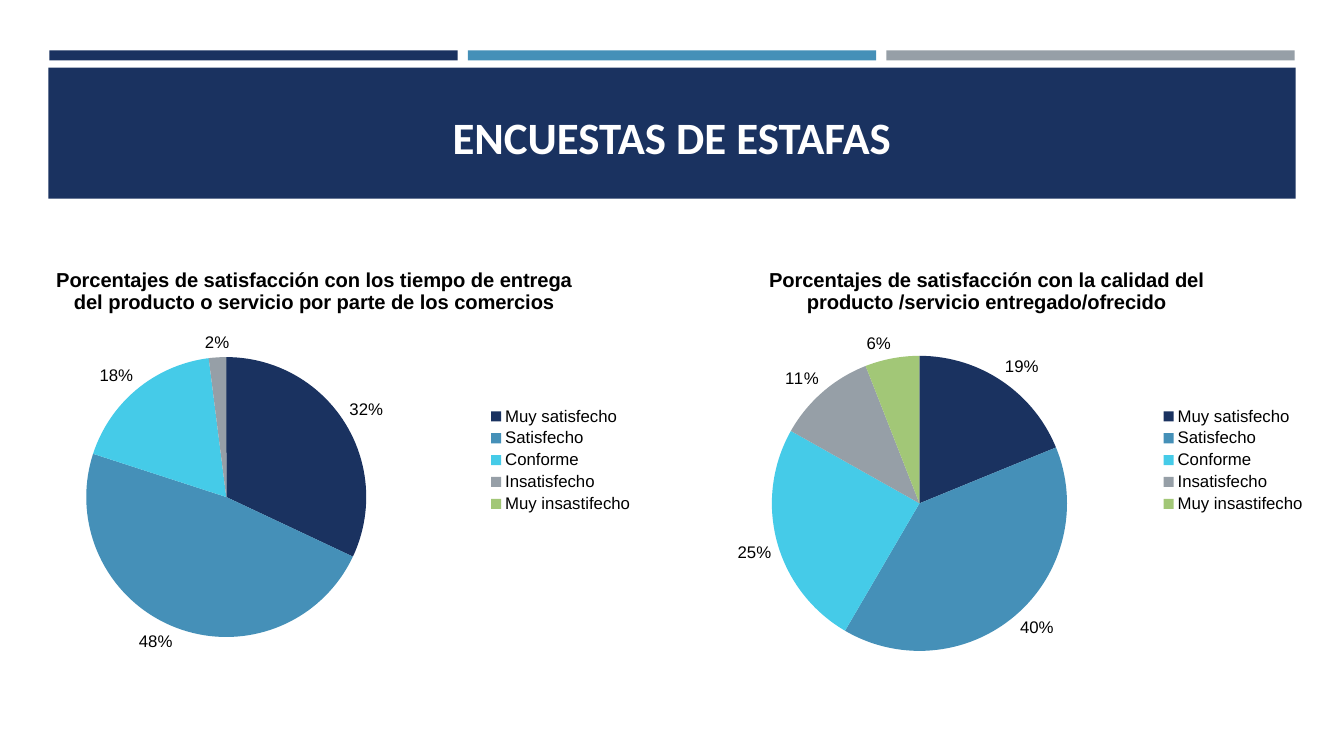
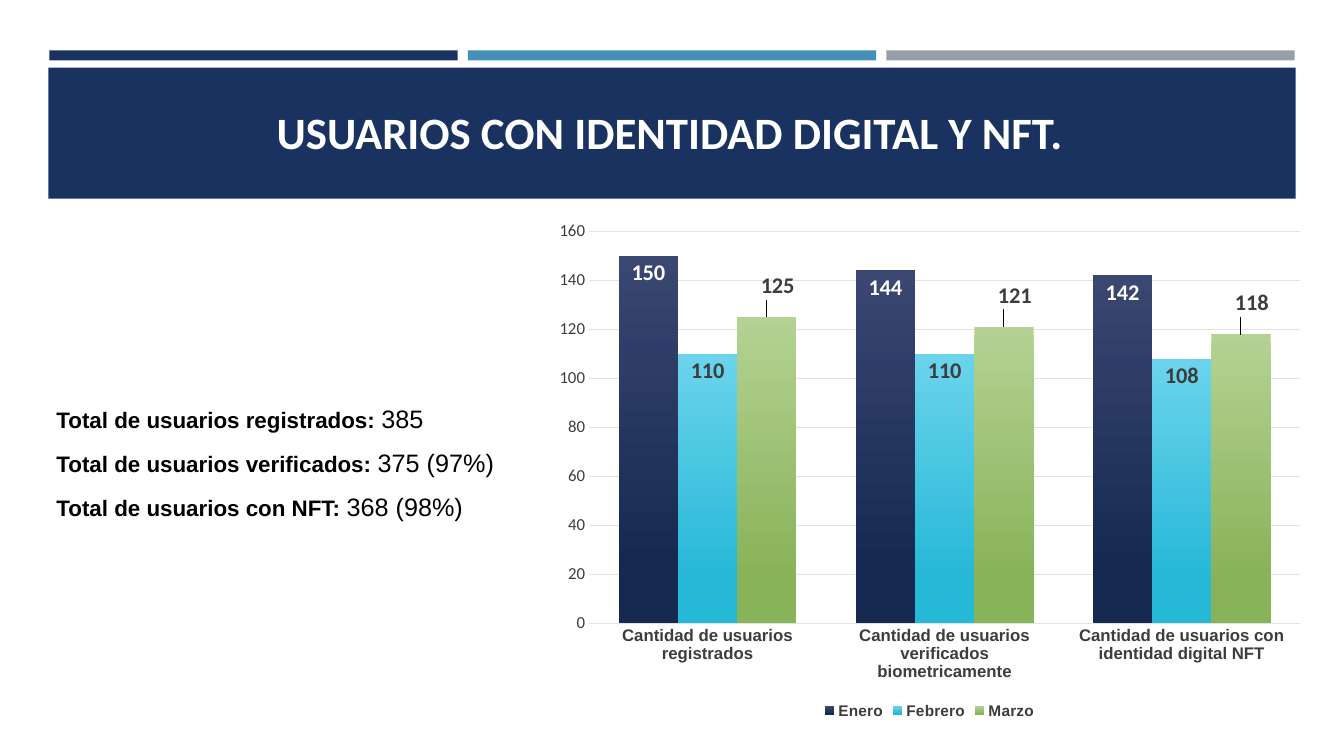
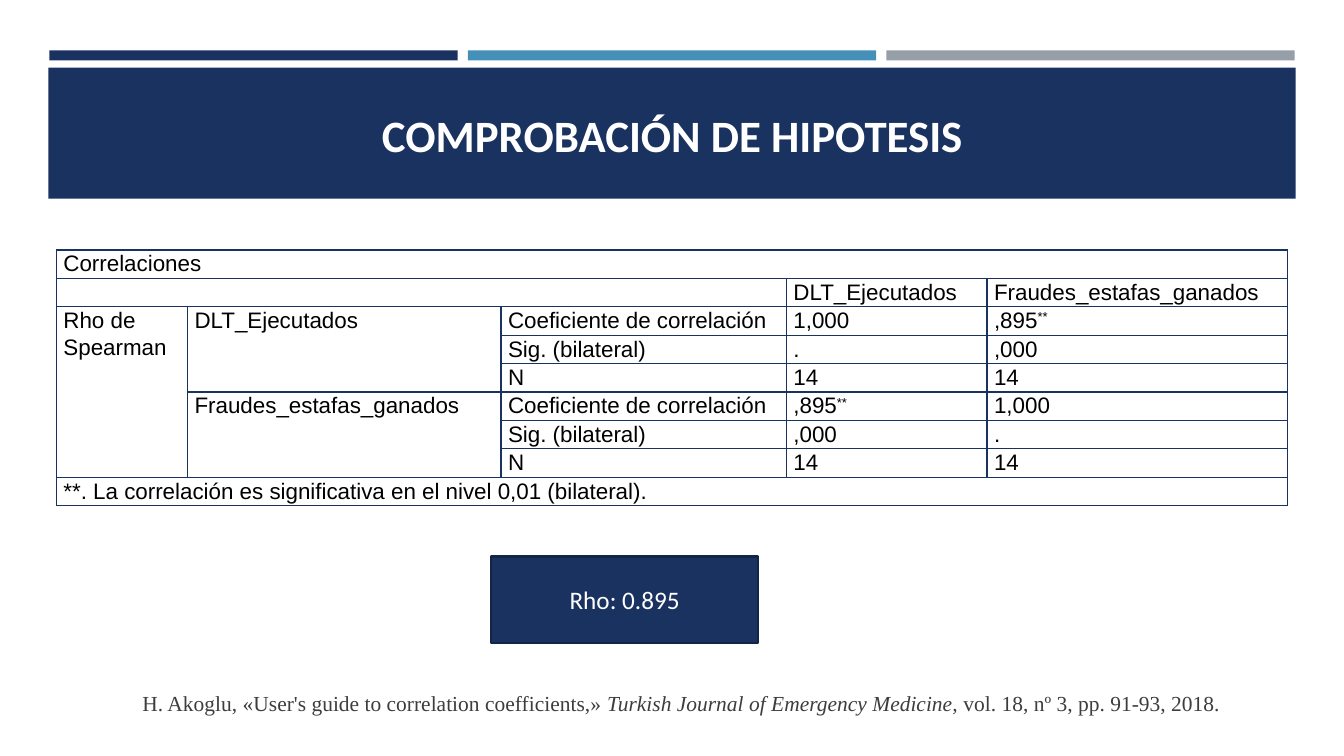
from dataclasses import dataclass

from lxml import etree
from pptx import Presentation
from pptx.chart.chart import Chart
from pptx.chart.data import CategoryChartData
from pptx.dml.color import RGBColor
from pptx.enum.chart import XL_CHART_TYPE as ChartType
from pptx.enum.chart import XL_LABEL_POSITION as LabelPos
from pptx.enum.chart import XL_LEGEND_POSITION as LegendPos
from pptx.enum.chart import XL_TICK_MARK as TickMark
from pptx.enum.shapes import MSO_SHAPE as Preset
from pptx.enum.text import MSO_ANCHOR as Anchor
from pptx.enum.text import MSO_AUTO_SIZE as AutoSize
from pptx.enum.text import PP_ALIGN as Align
from pptx.oxml.ns import qn
from pptx.presentation import Presentation as Deck
from pptx.shapes.base import BaseShape
from pptx.slide import Slide
from pptx.table import _Cell as Cell
from pptx.text.text import Font
from pptx.util import Inches, Pt

COLORS = {
    "navy": "1A3260",
    "navy_edge": "132547",
    "blue": "4590B8",
    "cyan": "45CBE8",
    "gray": "969FA7",
    "green": "A2C777",
    "grid": "E2E2E2",
    "dark": "3D3D3D",
    "black": "000000",
    "white": "FFFFFF",
    "navy_top": "394771",
    "navy_low": "162A51",
    "cyan_top": "6BD4EC",
    "cyan_low": "26B8D7",
    "green_top": "B4D293",
    "green_low": "89B359",
}
TITLE_ONLY, TITLE_AND_BODY = 5, 1


@dataclass(frozen=True)
class Box:
    left: float
    top: float
    width: float
    height: float

    def lengths(self) -> tuple[int, int, int, int]:
        return (Inches(self.left), Inches(self.top),
                Inches(self.width), Inches(self.height))


@dataclass(frozen=True)
class Band:
    box: Box
    color: str


@dataclass(frozen=True)
class Survey:
    question: str
    shares: tuple[float, ...]
    box: Box
    plot: Box  # fractions of the chart area


@dataclass(frozen=True)
class Month:
    name: str
    users: tuple[int, ...]
    top: str
    low: str
    label_color: str
    label_pos: LabelPos


BANDS = [
    Band(Box(0.49 + 4.15 * i, 0.5, 4.05, 0.1), color)
    for i, color in enumerate(("navy", "blue", "gray"))
] + [Band(Box(0.48, 0.67, 12.37, 1.3), "navy")]

ANSWERS = ("Muy satisfecho", "Satisfecho", "Conforme", "Insatisfecho", "Muy insastifecho")
ANSWER_COLORS = ("navy", "blue", "cyan", "gray", "green")
SURVEYS = (
    Survey("Porcentajes de satisfacción con los tiempo de entrega del producto "
           "o servicio por parte de los comercios",
           (0.32, 0.48, 0.18, 0.02, 0),
           Box(-0.16, 2.48, 6.55, 4.17), Box(0.155, 0.255, 0.424, 0.666)),
    Survey("Porcentajes de satisfacción con la calidad del producto "
           "/servicio entregado/ofrecido",
           (0.19, 0.4, 0.25, 0.11, 0.06),
           Box(6.51, 2.48, 6.55, 4.17), Box(0.175, 0.252, 0.447, 0.702)),
)

TOTALS = (
    ("Total de usuarios registrados: ", "385"),
    ("Total de usuarios verificados: ", "375 (97%)"),
    ("Total de usuarios con NFT: ", "368 (98%)"),
)
STAGES = (
    "Cantidad de usuarios registrados",
    "Cantidad de usuarios verificados biometricamente",
    "Cantidad de usuarios con identidad digital NFT",
)
MONTHS = (
    Month("Enero", (150, 144, 142), "navy_top", "navy_low", "white", LabelPos.INSIDE_END),
    Month("Febrero", (110, 110, 108), "cyan_top", "cyan_low", "dark", LabelPos.INSIDE_END),
    Month("Marzo", (125, 121, 118), "green_top", "green_low", "dark", LabelPos.OUTSIDE_END),
)

CORRELATIONS = (
    ("Correlaciones", "", "", "", ""),
    ("", "", "", "DLT_Ejecutados", "Fraudes_estafas_ganados"),
    ("Rho de Spearman", "DLT_Ejecutados", "Coeficiente de correlación", "1,000", ",895**"),
    ("", "", "Sig. (bilateral)", ".", ",000"),
    ("", "", "N", "14", "14"),
    ("", "Fraudes_estafas_ganados", "Coeficiente de correlación", ",895**", "1,000"),
    ("", "", "Sig. (bilateral)", ",000", "."),
    ("", "", "N", "14", "14"),
    ("**. La correlación es significativa en el nivel 0,01 (bilateral).", "", "", "", ""),
)
COLUMN_WIDTHS = (1.3, 3.11, 2.83, 1.99, 2.98)
# Merged areas: first row, first column, last row, last column
MERGES = ((0, 0, 0, 4), (1, 0, 1, 2), (2, 0, 7, 0), (2, 1, 4, 1), (5, 1, 7, 1), (8, 0, 8, 4))


# Shared helpers
def rgb(color: str) -> RGBColor:
    return RGBColor.from_string(COLORS[color])


def style_font(font: Font, name: str, color: str, size: float | None = None,
               bold: bool | None = None) -> None:
    font.name = name
    font.color.rgb = rgb(color)
    font.bold = bold
    if size:
        font.size = Pt(size)


def place(shape: BaseShape, box: Box) -> None:
    shape.left, shape.top, shape.width, shape.height = box.lengths()


def add_block(slide: Slide, box: Box, color: str) -> BaseShape:
    block = slide.shapes.add_shape(Preset.RECTANGLE, *box.lengths())
    block.shadow.inherit = False
    block.fill.solid()
    block.fill.fore_color.rgb = rgb(color)
    block.line.fill.background()
    return block


def add_titled_slide(deck: Deck, layout: int, heading: str, box: Box) -> Slide:
    slide = deck.slides.add_slide(deck.slide_layouts[layout])
    for band in BANDS:
        add_block(slide, band.box, band.color)
    title = slide.shapes.title
    slide.shapes._spTree.append(title._element)  # in front of the bands
    place(title, box)
    frame = title.text_frame
    frame.text = heading
    frame.auto_size = AutoSize.NONE
    frame.vertical_anchor = Anchor.BOTTOM
    paragraph = frame.paragraphs[0]
    paragraph.alignment = Align.CENTER
    style_font(paragraph.font, "Calibri", "white", 32, True)
    return slide


def add_layout(parent: etree._Element, index: int, **values: float | str) -> None:
    layout = etree.Element(qn("c:layout"))
    manual = etree.SubElement(layout, qn("c:manualLayout"))
    for tag, value in values.items():
        etree.SubElement(manual, qn(f"c:{tag}")).set("val", str(value))
    parent.insert(index, layout)


def place_plot(chart: Chart, plot: Box) -> None:
    area = chart._chartSpace.find(f".//{qn('c:plotArea')}")
    for old in area.findall(qn("c:layout")):
        area.remove(old)
    add_layout(area, 0, layoutTarget="inner", xMode="edge", yMode="edge",
               x=plot.left, y=plot.top, w=plot.width, h=plot.height)


def add_legend(chart: Chart, position: LegendPos, color: str, size: float, bold: bool) -> None:
    chart.has_legend = True
    chart.legend.position = position
    chart.legend.include_in_layout = False
    style_font(chart.legend.font, "Arial", color, size, bold)


# Slide 1: satisfaction pies
def add_survey_pie(slide: Slide, survey: Survey) -> None:
    data = CategoryChartData(number_format="0%")
    data.categories = ANSWERS
    data.add_series("Series 1", survey.shares)
    chart = slide.shapes.add_chart(ChartType.PIE, *survey.box.lengths(), data).chart
    style_font(chart.font, "Arial", "black", 12)
    chart.has_title = True
    question = chart.chart_title.text_frame
    question.text = survey.question
    style_font(question.paragraphs[0].font, "Arial", "black", 14.4, True)
    add_legend(chart, LegendPos.RIGHT, "black", 12, False)
    place_plot(chart, survey.plot)
    chart.plots[0].vary_by_categories = True

    answers = chart.plots[0].series[0]
    labels = answers.data_labels
    labels.show_value = True
    labels.number_format = "0%"
    labels.number_format_is_linked = False
    labels.position = LabelPos.OUTSIDE_END
    style_font(labels.font, "Arial", "black", 12)
    for i, (share, color) in enumerate(zip(survey.shares, ANSWER_COLORS)):
        slice_fill = answers.points[i].format.fill
        slice_fill.solid()
        slice_fill.fore_color.rgb = rgb(color)
        if not share:  # an empty slice has no label
            hidden = etree.Element(qn("c:dLbl"))
            etree.SubElement(hidden, qn("c:idx")).set("val", str(i))
            etree.SubElement(hidden, qn("c:delete")).set("val", "1")
            labels._element.insert(0, hidden)


def build_surveys(deck: Deck) -> None:
    slide = add_titled_slide(deck, TITLE_ONLY, "ENCUESTAS DE ESTAFAS",
                             Box(0.48, 0.85, 12.37, 0.82))
    for survey in SURVEYS:
        add_survey_pie(slide, survey)


# Slide 2: users by month
def fill_totals(body: BaseShape) -> None:
    place(body, Box(0.46, 3.95, 4.61, 1.4))
    frame = body.text_frame
    frame.auto_size = AutoSize.NONE
    frame.vertical_anchor = Anchor.TOP
    for i, (label, total) in enumerate(TOTALS):
        paragraph = frame.add_paragraph() if i else frame.paragraphs[0]
        properties = paragraph._p.get_or_add_pPr()
        properties.set("marL", "0")
        properties.set("indent", "0")
        etree.SubElement(properties, qn("a:buNone"))
        paragraph.space_before = Pt(0)
        paragraph.space_after = Pt(10)
        style_font(paragraph.font, "Arial", "black")
        for text, size, bold in ((label, 16, True), (total, 18, False)):
            run = paragraph.add_run()
            run.text = text
            run.font.size = Pt(size)
            run.font.bold = bold


def add_users_chart(slide: Slide) -> None:
    data = CategoryChartData(number_format="General")
    data.categories = STAGES
    for month in MONTHS:
        data.add_series(month.name, month.users)
    chart = slide.shapes.add_chart(ChartType.COLUMN_CLUSTERED,
                                   *Box(5.39, 2.09, 7.66, 5.09).lengths(), data).chart
    style_font(chart.font, "Calibri", "black", 10)
    chart.has_title = False
    add_legend(chart, LegendPos.BOTTOM, "dark", 11, True)
    place_plot(chart, Box(0.059, 0.04, 0.921, 0.764))

    stages, users = chart.category_axis, chart.value_axis
    for axis in (stages, users):
        axis.major_tick_mark = axis.minor_tick_mark = TickMark.NONE
    style_font(stages.tick_labels.font, "Arial", "dark", 12, True)
    style_font(users.tick_labels.font, "Calibri", "dark", 12, False)
    users.minimum_scale, users.maximum_scale, users.major_unit = 0, 160, 20
    users.format.line.fill.background()
    for line in (stages.format.line, users.major_gridlines.format.line):
        line.color.rgb = rgb("grid")
        line.width = Pt(0.75)

    plot = chart.plots[0]
    plot.vary_by_categories = False
    plot.gap_width = 100
    plot.overlap = 0
    for month, columns in zip(MONTHS, plot.series):
        fill = columns.format.fill
        fill.gradient()
        fill.gradient_angle = 270
        for stop, position, color in zip(fill.gradient_stops, (0, 0.84), (month.top, month.low)):
            stop.position = position
            stop.color.rgb = rgb(color)
        labels = columns.data_labels
        labels.show_value = True
        labels.position = month.label_pos
        style_font(labels.font, "Calibri", month.label_color, 16, True)
        if month.label_pos == LabelPos.OUTSIDE_END:
            for i in range(len(STAGES)):  # lifted a little, to the right
                label = columns.points[i].data_label
                label.position = month.label_pos
                style_font(label.font, "Calibri", month.label_color, 16, True)
                add_layout(label._get_or_add_dLbl(), 1, x=0.014, y=-0.025)


def build_users(deck: Deck) -> None:
    slide = add_titled_slide(deck, TITLE_AND_BODY, "USUARIOS CON IDENTIDAD DIGITAL Y NFT.",
                             Box(0.46, 0.74, 12.37, 0.88))
    fill_totals(slide.placeholders[1])
    add_users_chart(slide)


# Slide 3: correlation table
def add_borders(cell: Cell) -> None:
    properties = cell._tc.get_or_add_tcPr()
    for i, side in enumerate(("lnL", "lnR", "lnT", "lnB")):
        line = etree.Element(qn(f"a:{side}"), w=str(Pt(1)))
        solid = etree.SubElement(line, qn("a:solidFill"))
        etree.SubElement(solid, qn("a:srgbClr")).set("val", COLORS["navy"])
        properties.insert(i, line)


def fill_cell(cell: Cell, text: str) -> None:
    cell.margin_left = cell.margin_right = Inches(0.07)
    cell.margin_top = cell.margin_bottom = 0
    cell.fill.background()
    add_borders(cell)
    paragraph = cell.text_frame.paragraphs[0]
    paragraph.line_spacing = 1.07
    style_font(paragraph.font, "Arial", "black", 16)
    value = text.removesuffix("**")
    if value:
        paragraph.add_run().text = value
    if value != text:
        mark = paragraph.add_run()
        mark.text = "**"
        mark._r.get_or_add_rPr().set("baseline", "30000")


def add_correlations(slide: Slide) -> None:
    table = slide.shapes.add_table(len(CORRELATIONS), len(COLUMN_WIDTHS),
                                   *Box(0.56, 2.48, 12.21, 2.54).lengths()).table
    table.first_row = table.horz_banding = False
    for column, width in zip(table.columns, COLUMN_WIDTHS):
        column.width = Inches(width)
    for r, row in enumerate(CORRELATIONS):
        for c, text in enumerate(row):
            fill_cell(table.cell(r, c), text)
    for top, left, bottom, right in MERGES:
        table.cell(top, left).merge(table.cell(bottom, right))


def add_citation(slide: Slide) -> None:
    frame = slide.shapes.add_textbox(*Box(0.49, 6.73, 12.24, 0.41).lengths()).text_frame
    frame.word_wrap = True
    frame.vertical_anchor = Anchor.MIDDLE
    frame.margin_left = Inches(0.39)
    paragraph = frame.paragraphs[0]
    paragraph.alignment = Align.CENTER
    paragraph.line_spacing = 1.3
    style_font(paragraph.font, "Times New Roman", "dark", 15.3)
    for text, italic in (
        ("H. Akoglu, «User's guide to correlation coefficients,» ", False),
        ("Turkish Journal of Emergency Medicine, ", True),
        ("vol. 18, nº 3, pp. 91-93, 2018.", False),
    ):
        run = paragraph.add_run()
        run.text = text
        run.font.italic = italic


def build_hypothesis(deck: Deck) -> None:
    slide = add_titled_slide(deck, TITLE_ONLY, "COMPROBACIÓN DE HIPOTESIS",
                             Box(0.64, 0.77, 12.06, 0.88))
    add_correlations(slide)
    add_citation(slide)
    rho = add_block(slide, Box(4.87, 5.52, 2.65, 0.86), "navy")
    rho.line.color.rgb = rgb("navy_edge")
    rho.line.width = Pt(1.75)
    rho.text_frame.text = "Rho: 0.895"
    rho.text_frame.vertical_anchor = Anchor.MIDDLE
    paragraph = rho.text_frame.paragraphs[0]
    paragraph.alignment = Align.CENTER
    style_font(paragraph.font, "Calibri", "white", 18)


def main() -> None:
    deck = Presentation()
    deck.slide_width, deck.slide_height = Inches(13.33), Inches(7.5)
    build_surveys(deck)
    build_users(deck)
    build_hypothesis(deck)
    deck.save("out.pptx")


if __name__ == "__main__":
    main()
